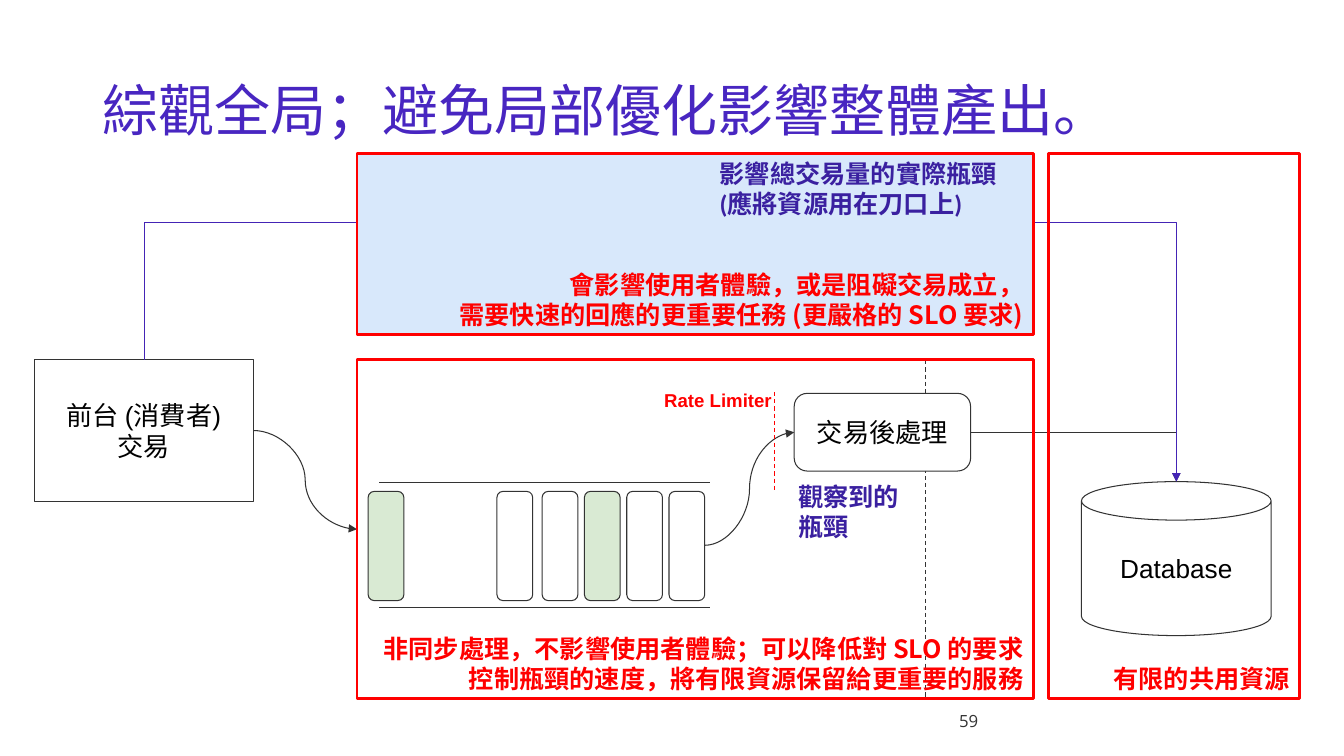
from lxml import etree
from pptx import Presentation
from pptx.dml.color import RGBColor
from pptx.enum.dml import MSO_LINE
from pptx.enum.shapes import MSO_CONNECTOR as LINK, MSO_SHAPE as SHAPE
from pptx.enum.text import MSO_ANCHOR as ANCHOR, MSO_AUTO_SIZE, PP_ALIGN as ALIGN
from pptx.oxml.ns import qn
from pptx.util import Pt

CJK = "Noto Sans CJK TC"
INK, RED, PURPLE, WHITE, GREEN = "333333", "FF0000", "3A20A0", "FFFFFF", "D9EAD3"


def color(hex_string):
    return RGBColor.from_string(hex_string)


def write(frame, lines, size, font, ink, bold=False, align=ALIGN.LEFT,
          anchor=ANCHOR.TOP, inset=(7.2, 3.6), spacing=None):
    frame.word_wrap = True
    frame.auto_size = MSO_AUTO_SIZE.NONE
    frame.vertical_anchor = anchor
    frame.margin_left = frame.margin_right = Pt(inset[0])
    frame.margin_top = frame.margin_bottom = Pt(inset[1])
    for index, line in enumerate(lines):
        paragraph = frame.add_paragraph() if index else frame.paragraphs[0]
        paragraph.alignment = align
        if spacing:
            paragraph.line_spacing = spacing
        for part, words in enumerate(line.split("\n")):
            if part:
                paragraph.add_line_break()
            run = paragraph.add_run()
            run.text = words
            run.font.size = Pt(size)
            run.font.bold = bold
            run.font.name = font
            run.font.color.rgb = color(ink)
            etree.SubElement(run.font._element, qn("a:ea")).set("typeface", CJK)


def add_label(slide, box, lines, size, font, ink, **options):
    label = slide.shapes.add_textbox(*map(Pt, box))
    write(label.text_frame, lines, size, font, ink, **options)


def add_block(slide, kind, box, fill=WHITE, ink=INK, weight=0.75):
    block = slide.shapes.add_shape(kind, *map(Pt, box))
    block.shadow.inherit = False
    if fill:
        block.fill.solid()
        block.fill.fore_color.rgb = color(fill)
    else:
        block.fill.background()
    block.line.color.rgb = color(ink)
    block.line.width = Pt(weight)
    return block


def add_step(slide, kind, box, lines):
    step = add_block(slide, kind, box)
    write(step.text_frame, lines, 18.7, "Arial", "000000", align=ALIGN.CENTER,
          anchor=ANCHOR.MIDDLE, inset=(9.4, 9.4))


def add_link(slide, kind, start, end, ink=INK, weight=0.75, arrow=False):
    link = slide.shapes.add_connector(kind, *map(Pt, start + end))
    link.line.color.rgb = color(ink)
    link.line.width = Pt(weight)
    if arrow:
        etree.SubElement(link.line._get_or_add_ln(), qn("a:tailEnd")).set("type", "triangle")
    etree.SubElement(link._element.spPr, qn("a:effectLst"))
    return link


def add_overhead_link(slide, start, end, level, ink, weight):
    width, height = end[1] - start[1], end[0] - start[0]
    middle_x, middle_y = (start[0] + end[0]) / 2, (start[1] + end[1]) / 2
    link = add_link(slide, LINK.ELBOW,
                    (middle_x + width / 2, middle_y - height / 2),
                    (middle_x - width / 2, middle_y + height / 2),
                    ink, weight, arrow=True)
    properties = link._element.spPr
    properties.find(qn("a:xfrm")).set("rot", "16200000")
    bend = properties.find(qn("a:prstGeom")).find(qn("a:avLst"))
    guide = etree.SubElement(bend, qn("a:gd"))
    guide.set("name", "adj1")
    guide.set("fmla", f"val {round((level - start[1]) / width * 100000)}")


def draw_title(slide, box):
    title = slide.shapes.title
    title.left, title.top, title.width, title.height = map(Pt, box)
    write(title.text_frame, ["綜觀全局；避免局部優化影響整體產出。"], 40, "Open Sans",
          "4826C1", anchor=ANCHOR.MIDDLE, spacing=0.9)


def draw_queue(slide, box):
    left, top, width, height = box
    backdrop = add_block(slide, SHAPE.RECTANGLE, (left, top, 406, height))
    backdrop.line.dash_style = MSO_LINE.DASH
    for rail in (88, 177):
        add_link(slide, LINK.STRAIGHT, (left + 16, top + rail), (left + 252, top + rail))
    jobs = [(8, GREEN), (100, WHITE)]
    jobs += [(132.3 + 30.2 * i, GREEN if i == 1 else WHITE) for i in range(4)]
    for offset, fill in jobs:
        add_block(slide, SHAPE.ROUNDED_RECTANGLE, (left + offset, top + 94, 25.5, 78), fill)
    add_step(slide, SHAPE.ROUNDED_RECTANGLE, (left + 312.3, top + 24, 126, 55.5), ["交易後處理"])
    add_link(slide, LINK.CURVE, (left + 248.5, top + 132.5), (left + 312.3, top + 51.8), arrow=True)
    limiter = add_link(slide, LINK.STRAIGHT, (left + 298, top + 23), (left + 298, top + 94), RED)
    limiter.line.dash_style = MSO_LINE.DASH
    add_label(slide, (left + 210, top + 11.5, 106.5, 47.5), ["Rate Limiter"], 13.3,
              "Arial", RED, bold=True, inset=(9.4, 9.4))


def draw_flows(slide, front, queue, database):
    front_left, front_top, front_width, front_height = front
    queue_left, queue_top = queue[:2]
    store = (database[0] + database[2] / 2, database[1])
    add_link(slide, LINK.CURVE, (front_left + front_width, front_top + front_height / 2),
             (queue_left, queue_top + queue[3] / 2), arrow=True)
    processed = add_link(slide, LINK.ELBOW, (queue_left + 438.3, queue_top + 51.8), store, arrow=True)
    processed._element.spPr.find(qn("a:prstGeom")).set("prst", "bentConnector2")
    add_overhead_link(slide, (front_left + front_width / 2, front_top), store, 158.6, "4424B5", 0.5)


def draw_panel(slide, box, lines, fill=None):
    panel = add_block(slide, SHAPE.RECTANGLE, box, fill, RED, 2)
    write(panel.text_frame, lines, 18, CJK, RED, bold=True, align=ALIGN.RIGHT,
          anchor=ANCHOR.BOTTOM)


def draw_bottleneck_notes(slide, direct, queue):
    add_label(slide, (queue[0] + 308, queue[1] + 83, 99.5, 51), ["觀察到的瓶頸"], 18,
              "Calibri", PURPLE, bold=True)
    add_label(slide, (direct[0] + 252, direct[1], 222, 51),
              ["影響總交易量的實際瓶頸", "(應將資源用在刀口上)"], 18,
              "Calibri", PURPLE, bold=True)


def main():
    deck = Presentation()
    deck.slide_width, deck.slide_height = Pt(960), Pt(540)
    slide = deck.slides.add_slide(deck.slide_layouts[5])
    front = (24.5, 257, 156.5, 101)
    direct = (255, 109.5, 483, 129.5)
    queue = (255, 257, 483, 242)
    shared = (749, 109.5, 179.5, 389.5)
    database = (shared[0] + 23.5, shared[1] + 234.5, 135.5, 110)

    draw_title(slide, (66, 28.75, 828, 104.4))
    add_label(slide, (678, 500.5, 216, 28.75), ["59"], 12, "Open Sans", INK,
              anchor=ANCHOR.MIDDLE)
    draw_queue(slide, queue)
    add_step(slide, SHAPE.RECTANGLE, front, ["前台 (消費者)", "交易"])
    add_step(slide, SHAPE.CAN, database, ["Database"])
    draw_flows(slide, front, queue, database)
    draw_panel(slide, shared, ["有限的共用資源"])
    draw_panel(slide, queue, ["非同步處理，不影響使用者體驗；可以降低對 SLO 的要求",
                              "控制瓶頸的速度，將有限資源保留給更重要的服務"])
    draw_panel(slide, direct, ["會影響使用者體驗，或是阻礙交易成立，\n"
                               "需要快速的回應的更重要任務 (更嚴格的 SLO 要求)"], "D8E8FB")
    draw_bottleneck_notes(slide, direct, queue)
    deck.save("out.pptx")


if __name__ == "__main__":
    main()
